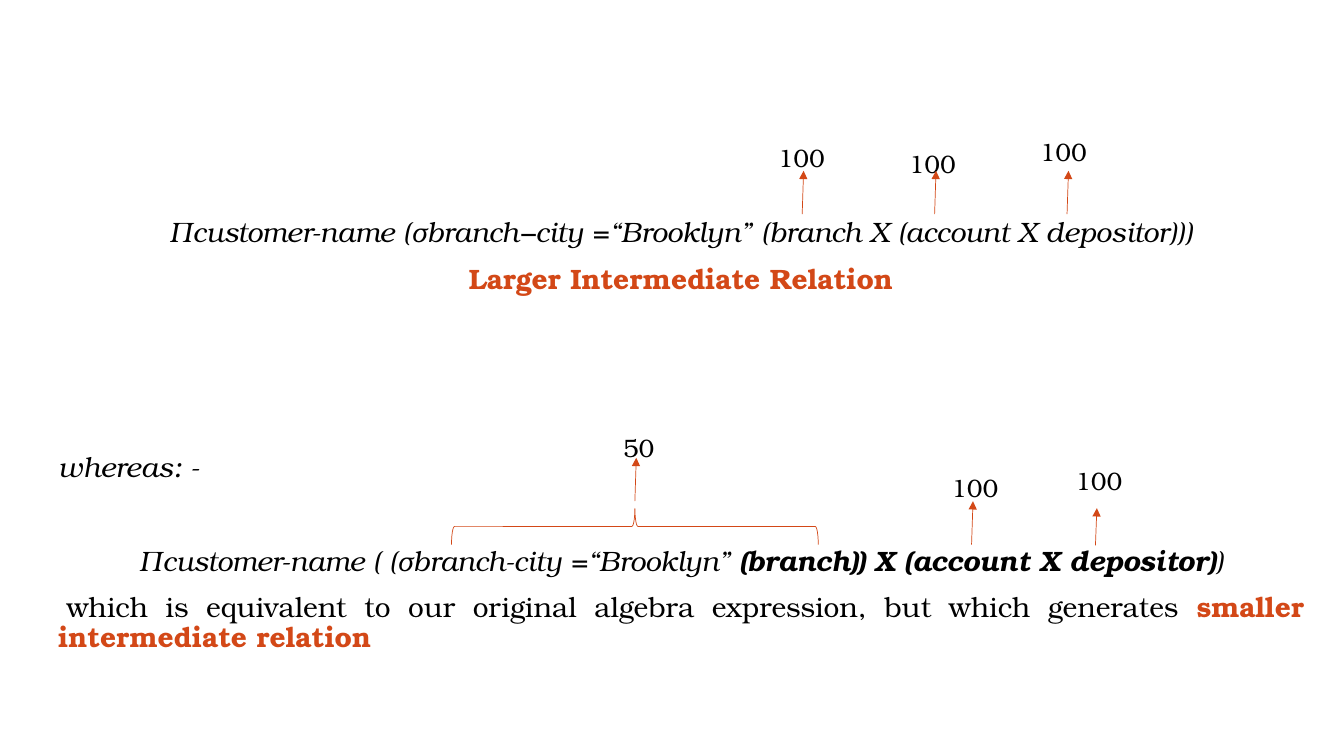
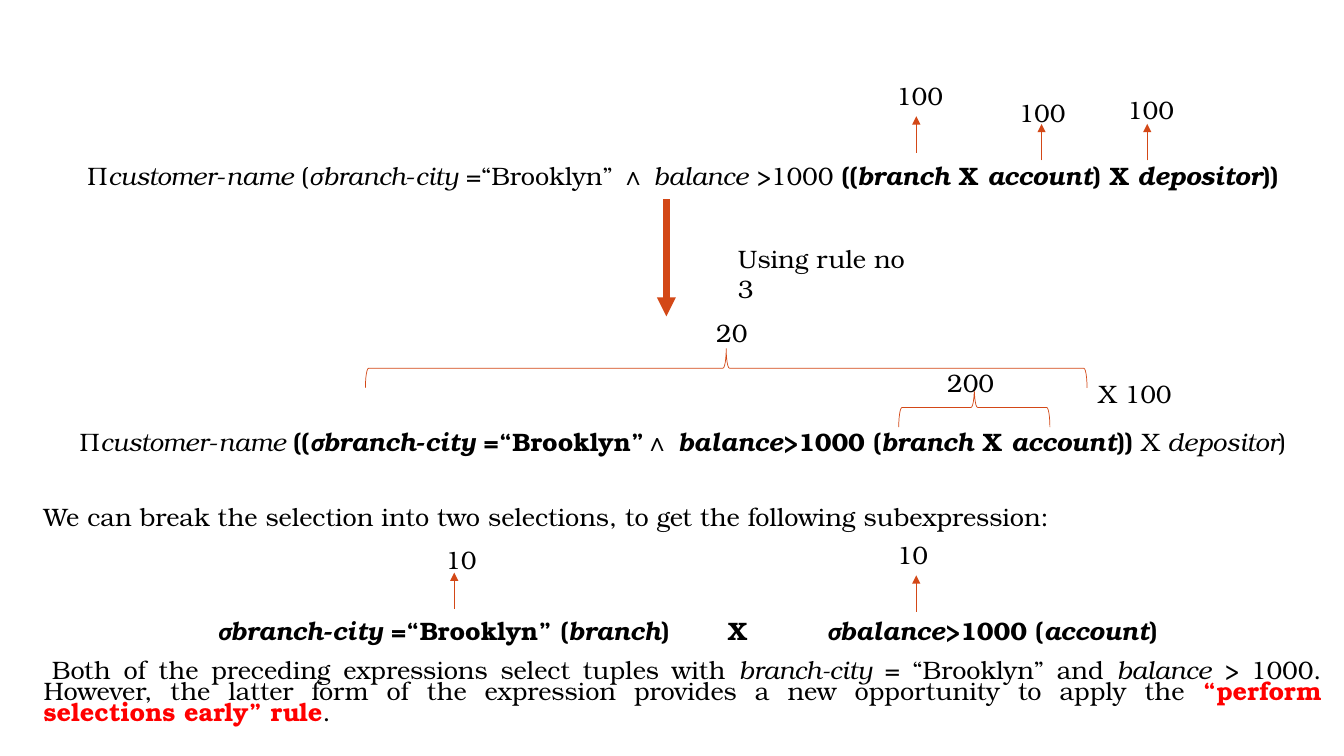
from pptx import Presentation
from pptx.util import Pt
from pptx.dml.color import RGBColor
from pptx.enum import shapes as sh, text as tx
from pptx.oxml.ns import qn
from lxml import etree

HUES = {"ink": "000000", "rust": "D34817", "red": "FF0000"}
FONT = "TeX Gyre Bonum"
THIN = 0.5
LEFT, MID, JUST = tx.PP_ALIGN.LEFT, tx.PP_ALIGN.CENTER, tx.PP_ALIGN.JUSTIFY


def hue(name):
    return RGBColor.from_string(HUES[name])


def write(slide, box, runs, size=18, align=LEFT, lead=1, dent=0, anchor=tx.MSO_ANCHOR.TOP):
    frame = slide.shapes.add_textbox(*map(Pt, box)).text_frame
    frame.word_wrap = True
    frame.vertical_anchor = anchor
    para = frame.paragraphs[0]
    para.alignment = align
    para.line_spacing = lead
    if dent:
        para._p.get_or_add_pPr().set("indent", str(Pt(dent)))
    for words, style, *tint in runs:
        run = para.add_run()
        run.text = words
        font = run.font
        font.name, font.size = FONT, Pt(size)
        font.bold, font.italic = "b" in style, "i" in style
        font.color.rgb = hue(tint[0] if tint else "ink")


def line(slide, x, mid, wide, runs, size=18, align=MID):
    write(slide, (x, mid - 20, wide, 40), runs, size, align, anchor=tx.MSO_ANCHOR.MIDDLE)


def block(slide, x, mid, wide, runs, size, lead):
    write(slide, (x, mid - 30, wide, 60), runs, size, JUST, lead, 6, tx.MSO_ANCHOR.MIDDLE)


def arrow(slide, start, end, width=THIN):
    link = slide.shapes.add_connector(sh.MSO_CONNECTOR.STRAIGHT, *map(Pt, start + end))
    link.line.color.rgb = hue("rust")
    link.line.width = Pt(width)
    etree.SubElement(link.line._get_or_add_ln(), qn("a:tailEnd"), type="triangle")
    etree.SubElement(link._element.spPr, qn("a:effectLst"))


def brace(slide, x, y, wide, high):
    left, top = x + (wide - high) / 2, y + (high - wide) / 2
    shape = slide.shapes.add_shape(sh.MSO_SHAPE.RIGHT_BRACE, *map(Pt, (left, top, high, wide)))
    shape.rotation = 270
    shape.shadow.inherit = False
    shape.fill.background()
    shape.line.color.rgb = hue("rust")
    shape.line.width = Pt(THIN)


def label(slide, x, y, words):
    write(slide, (x, y, 65, 29), [(words, "")])


def count(slide, box, words, spot, tip, rise, lean=0):
    x, y = box[:2]
    label(slide, x + spot[0], y + spot[1], words)
    end = (x + tip[0], y + tip[1])
    arrow(slide, (end[0] - lean, end[1] + rise), end)


def large(slide, box):
    x, y, wide, _ = box
    for i, drop in enumerate((4, 8.5, 0)):
        count(slide, box, "100", (514 + 93.6 * i, drop), (539.5 + 94.6 * i, 28), 31, 1)
    line(slide, x, y + 71, wide, [
        ("Πcustomer-name (σbranch−city =“Brooklyn” (branch X (account X depositor)))", "i")], 20)
    line(slide, x, y + 104.5, wide, [("Larger Intermediate Relation", "b", "rust")], 20)


def small(slide, box):
    x, y, wide, _ = box
    line(slide, x, y + 28, wide, [("whereas: -", "i")], 20, LEFT)
    for words, spot, tip, rise in (
            ("50", (403.5, 0), (420, 22), 31),
            ("100", (638, 29), (660.5, 53), 31),
            ("100", (726.5, 24), (749, 58), 26.5)):
        count(slide, box, words, spot, tip, rise, 1)
    brace(slide, x + 288, y + 58, 262, 26)
    line(slide, x, y + 95, wide, [
        ("Πcustomer-name ( (σbranch-city =“Brooklyn” ", "i"),
        ("(branch)) X (account X depositor)", "bi"), (")", "i")], 20)
    block(slide, x, y + 140.5, wide, [
        ("which is equivalent to our original algebra expression, but which generates ", ""),
        ("smaller intermediate relation", "b", "rust")], 20, 0.9)


NAME = [("Π", ""), ("customer", "i"), ("-", ""), ("name ", "i")]


def city(style):
    return [("σbranch", style + "i"), ("-", style), ("city ", style + "i")]


def before(slide, box):
    x, y, wide, _ = box
    for spot, tip in (((609, 0), (630.5, 29)),
                      ((696.5, 12), (720, 34.5)),
                      ((774, 9.5), (795.5, 34.5))):
        count(slide, box, "100", spot, tip, 26)
    line(slide, x, y + 71, wide, NAME + [("(", "")] + city("") + [
        ("=“Brooklyn” ", ""), ("∧ balance >", "i"), ("1000 ", ""), ("((", "b"),
        ("branch ", "bi"), ("X ", "b"), ("account", "bi"), (") X ", "b"),
        ("depositor", "bi"), ("))", "b")])


def step(slide, box):
    x, y, wide, high = box
    arrow(slide, (x, y), (x, y + high), 4.5)
    write(slide, (x + 44, y + 27.5, wide - 44, 50), [("Using rule no 3", "")])


def after(slide, box):
    x, y, wide, _ = box
    brace(slide, x + 237, y + 27, 515.5, 28)
    brace(slide, x + 618, y + 55, 108, 28)
    label(slide, x + 480.5, y + 1, "20")
    label(slide, x + 645.5, y + 37, "200")
    line(slide, x + 709, y + 59, 155.5, [("X 100", "")])
    line(slide, x, y + 93, wide, NAME + [("((", "b")] + city("b") + [
        ("=“Brooklyn”", "b"), ("∧ balance>", "bi"), ("1000 (", "b"),
        ("branch ", "bi"), ("X ", "b"), ("account", "bi"), (")) ", "b"),
        ("X ", ""), ("depositor", "i"), (")", "")])


def split(slide, box):
    x, y, wide, _ = box
    line(slide, x, y + 14, wide, [
        ("We can break the selection into two selections, to get the following subexpression:", "")],
        align=LEFT)
    count(slide, box, "10", (287, 30), (300.5, 54), 26)
    count(slide, box, "10", (609.5, 27), (630.5, 56), 26)
    for mid, runs in (
            (292.5, city("b") + [("=“Brooklyn” (", "b"), ("branch", "bi"), (")", "b")]),
            (503, [("X", "b")]),
            (684.5, [("σbalance>", "bi"), ("1000 (", "b"), ("account", "bi"), (")", "b")])):
        line(slide, x + mid - 180, y + 95, 360, runs)
    block(slide, x, y + 141, wide, [
        ("Both of the preceding expressions select tuples with ", ""),
        ("branch-city ", "i"), ("= “Brooklyn” and ", ""), ("balance > ", "i"),
        ("1000. However, the latter form of the expression provides a new opportunity to apply the ", ""),
        ("“perform selections early” rule", "b", "red"), (".", "")], 18, 0.7)


def main():
    deck = Presentation()
    deck.slide_width, deck.slide_height = Pt(960), Pt(540)
    pages = (
        ((large, (34.5, 94, 904, 120)), (small, (34.5, 305, 904, 160))),
        ((before, (24, 54, 927, 90)), (step, (476, 142.5, 193, 83.5)),
         (after, (24, 222, 927, 110)), (split, (24, 355, 927, 165))))
    for parts in pages:
        slide = deck.slides.add_slide(deck.slide_layouts[6])
        for draw, box in parts:
            draw(slide, box)
    deck.save("out.pptx")


if __name__ == "__main__":
    main()
